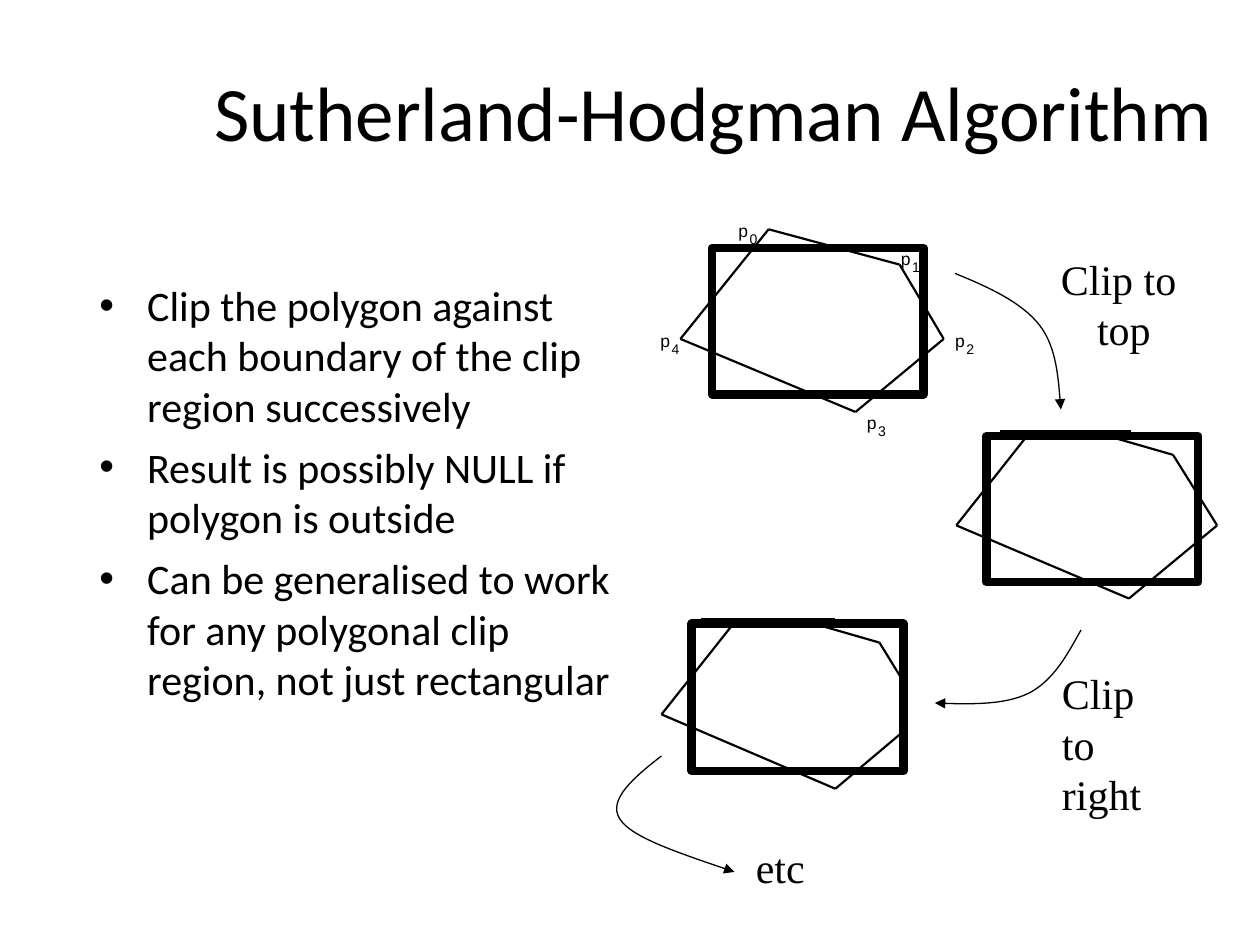
import itertools

import pptx
import pptx.dml.color
import pptx.enum.shapes
import pptx.enum.text
import pptx.oxml.xmlchemy
import pptx.util
from pptx.util import Inches

COLORS = {"ink": "000000", "paper": "FFFFFF"}
EDGE, FRAME, ARROW = 1.25, 4.88, 0.75
ALIGN = pptx.enum.text.PP_ALIGN
CURVE_STEPS = 16


def rgb(name):
    return pptx.dml.color.RGBColor.from_string(COLORS[name])


def add_element(parent, tag, **attributes):
    element = pptx.oxml.xmlchemy.OxmlElement(tag)
    for key, value in attributes.items():
        element.set(key, value)
    parent.append(element)


def write_text(frame, lines, size, font, align=ALIGN.LEFT, bullet=None, gap=0):
    """Fill a text frame with one paragraph per line; gap is the points between them."""
    for index, line in enumerate(lines):
        paragraph = frame.paragraphs[0] if index == 0 else frame.add_paragraph()
        paragraph.text = line
        paragraph.alignment = align
        paragraph.space_before = pptx.util.Pt(gap if index else 0)
        if bullet:
            properties = paragraph._p.get_or_add_pPr()
            properties.set("marL", str(Inches(0.38)))
            properties.set("indent", str(Inches(-0.38)))
            add_element(properties, "a:buFont", typeface="Arial")
            add_element(properties, "a:buChar", char=bullet)
        paragraph.font.size = pptx.util.Pt(size)
        paragraph.font.name = font
        paragraph.font.color.rgb = rgb("ink")


def curve_points(start, bezier_parts):
    """Sample a chain of cubic Bezier parts, each given as two controls and an end."""
    points = [start]
    for first, second, end in bezier_parts:
        begin = points[-1]
        for step in range(1, CURVE_STEPS + 1):
            t = step / CURVE_STEPS
            u = 1 - t
            points.append(tuple(
                u**3 * a + 3 * u * u * t * b + 3 * u * t * t * c + t**3 * d
                for a, b, c, d in zip(begin, first, second, end)))
    return [(Inches(x), Inches(y)) for x, y in points]


class Board:
    """Holds the slide, the shapes being drawn into, and the line style."""

    def __init__(self, slide):
        self.slide = slide
        self.shapes = slide.shapes

    def start_group(self):
        self.shapes = self.slide.shapes.add_group_shape().shapes

    def end_group(self):
        self.shapes = self.slide.shapes

    def ink_line(self, shape, width):
        shape.line.color.rgb = rgb("ink")
        shape.line.width = pptx.util.Pt(width)

    def text(self, box, lines, wrap=False, inset=True, anchor="TOP", **style):
        frame = self.shapes.add_textbox(*map(Inches, box)).text_frame
        frame.word_wrap = wrap
        frame.vertical_anchor = getattr(pptx.enum.text.MSO_ANCHOR, anchor)
        if not inset:
            frame.margin_left = frame.margin_right = 0
            frame.margin_top = frame.margin_bottom = 0
        write_text(frame, lines, **style)

    def rectangle(self, box):
        shape = self.shapes.add_shape(
            pptx.enum.shapes.MSO_SHAPE.RECTANGLE, *map(Inches, box))
        shape.shadow.inherit = False
        return shape

    def clip_window(self, box):
        window = self.rectangle(box)
        window.fill.background()
        self.ink_line(window, FRAME)

    def blank_area(self, box):
        area = self.rectangle(box)
        area.fill.solid()
        area.fill.fore_color.rgb = rgb("paper")
        area.line.fill.background()

    def line(self, start, end, width=EDGE):
        connector = self.shapes.add_connector(
            pptx.enum.shapes.MSO_CONNECTOR.STRAIGHT, *map(Inches, start + end))
        self.ink_line(connector, width)
        add_element(connector._element.spPr, "a:effectLst")

    def polygon(self, corners):
        for start, end in itertools.pairwise(corners + corners[:1]):
            self.line(start, end)

    def curved_arrow(self, start, *bezier_parts):
        points = curve_points(start, bezier_parts)
        builder = self.shapes.build_freeform(*points[0])
        builder.add_line_segments(points[1:], close=False)
        arrow = builder.convert_to_shape()
        arrow.shadow.inherit = False
        arrow.fill.background()
        self.ink_line(arrow, ARROW)
        add_element(arrow._element.spPr.get_or_add_ln(), "a:tailEnd", type="triangle")


def draw_start(board):
    board.start_group()
    board.clip_window((5.65, 1.97, 1.68, 1.16))
    board.polygon([(5.4, 2.69), (6.1, 1.82), (7.14, 2.1), (7.49, 2.69), (6.79, 3.27)])
    corner_labels = [(5.86, 1.75), (7.15, 1.97), (7.58, 2.62), (6.88, 3.27), (5.24, 2.62)]
    for number, (left, top) in enumerate(corner_labels):
        board.text((left, top, 0.09, 0.17), ["p"], inset=False, size=10, font="Arial")
        board.text((left + 0.09, top + 0.08, 0.06, 0.13), [str(number)],
                   inset=False, size=8, font="Arial")
    board.end_group()


def draw_top_clipped(board):
    board.start_group()
    board.blank_area((7.85, 3.48, 1.63, 1.14))
    board.clip_window((7.83, 3.46, 1.68, 1.16))
    board.polygon([(7.59, 4.17), (8.27, 3.31), (9.31, 3.61), (9.66, 4.17), (8.96, 4.75)])
    board.line((8.15, 3.46), (8.83, 3.47))
    board.blank_area((7.99, 3.17, 0.87, 0.3))
    board.line((7.94, 3.45), (8.98, 3.45), FRAME)
    board.end_group()


def draw_right_clipped(board):
    board.start_group()
    board.blank_area((5.52, 4.97, 1.63, 1.15))
    board.clip_window((5.49, 4.95, 1.68, 1.17))
    board.polygon([(5.25, 5.67), (5.94, 4.8), (6.98, 5.1), (7.33, 5.67), (6.63, 6.26)])
    board.blank_area((5.66, 4.67, 0.87, 0.3))
    board.line((7.16, 5.4), (7.16, 5.83))
    board.blank_area((7.16, 5.33, 0.34, 0.56))
    board.line((5.56, 4.94), (6.63, 4.94), FRAME)
    board.line((7.17, 5.24), (7.17, 5.94), FRAME)
    board.end_group()


def main():
    deck = pptx.Presentation()
    deck.slide_width, deck.slide_height = Inches(10), Inches(7.5)
    board = Board(deck.slides.add_slide(deck.slide_layouts[6]))

    board.text((1.54, 0.25, 8.25, 1.25), ["Sutherland-Hodgman Algorithm"], wrap=True,
               anchor="MIDDLE", size=44, font="Calibri", align=ALIGN.CENTER)
    board.text((0.69, 2.17, 4.42, 4.5), [
        "Clip the polygon against each boundary of the clip region successively",
        "Result is possibly NULL if polygon is outside",
        "Can be generalised to work for any polygonal clip region, not just rectangular",
    ], wrap=True, size=24, font="Calibri", bullet="•", gap=6)

    draw_start(board)
    draw_top_clipped(board)
    draw_right_clipped(board)

    step_style = {"size": 24, "font": "Times New Roman"}
    board.curved_arrow((7.58, 2.17), ((7.85, 2.28), (8.11, 2.4), (8.25, 2.58)),
                       ((8.39, 2.76), (8.4, 3.01), (8.42, 3.25)))
    board.text((8.32, 1.96, 1.2, 0.9), ["Clip to ", "top"], align=ALIGN.CENTER, **step_style)
    board.curved_arrow((8.58, 5), ((8.47, 5.2), (8.36, 5.4), (8.17, 5.5)),
                       ((7.97, 5.6), (7.69, 5.59), (7.42, 5.58)))
    board.text((8.33, 5.25, 1.11, 0.9), ["Clip to", "right"], **step_style)
    board.curved_arrow((5.25, 6), ((5.03, 6.17), (4.82, 6.35), (4.92, 6.5)),
                       ((5.01, 6.65), (5.42, 6.78), (5.83, 6.92)))
    board.text((5.9, 6.63, 0.59, 0.5), ["etc"], **step_style)

    deck.save("out.pptx")


if __name__ == "__main__":
    main()
